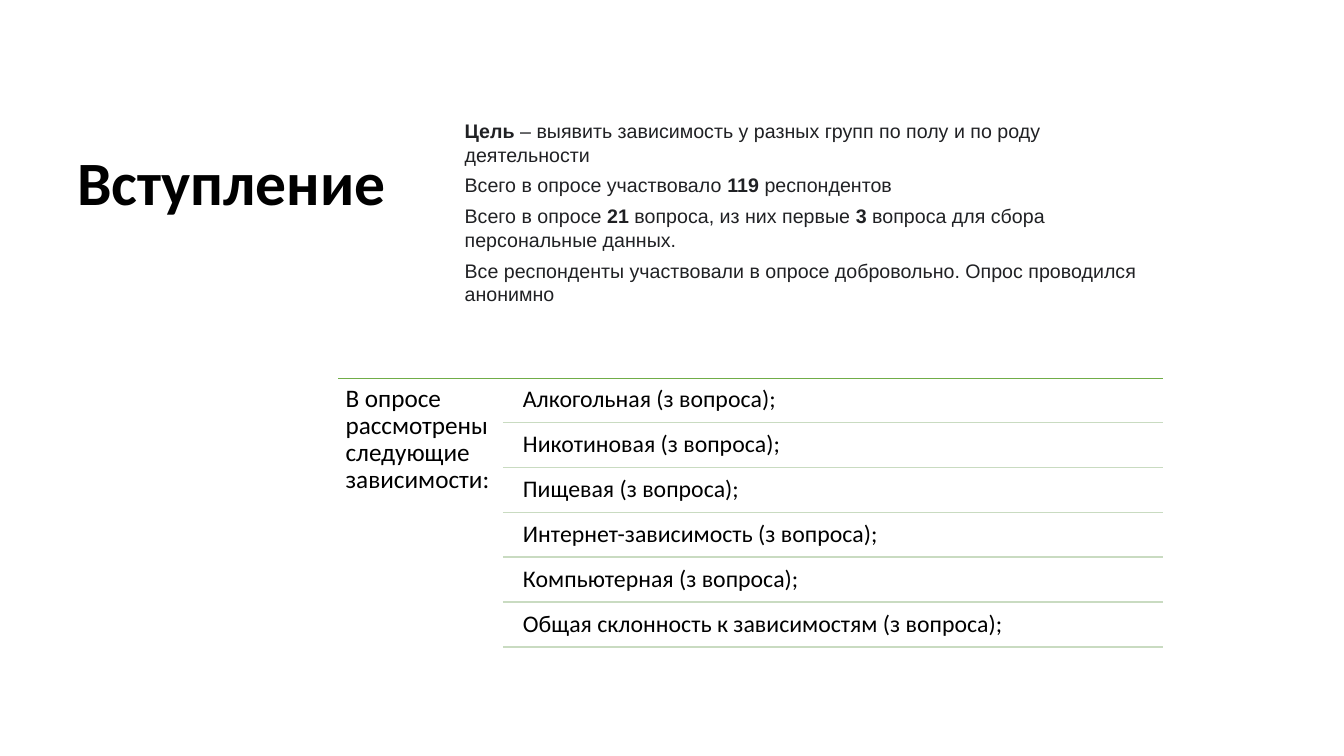
from lxml import etree
from pptx import Presentation
from pptx.dml.color import RGBColor
from pptx.enum.shapes import MSO_CONNECTOR
from pptx.enum.text import MSO_ANCHOR, MSO_AUTO_SIZE, PP_ALIGN
from pptx.oxml.ns import qn
from pptx.util import Cm, Pt

STRAIGHT = MSO_CONNECTOR.STRAIGHT
TOP, MIDDLE = MSO_ANCHOR.TOP, MSO_ANCHOR.MIDDLE
LEFT = PP_ALIGN.LEFT
NO_FIT = MSO_AUTO_SIZE.NONE

BLACK = RGBColor(0x00, 0x00, 0x00)
INK = RGBColor(0x20, 0x21, 0x24)
GREEN = RGBColor(0x70, 0xAD, 0x47)
PALE_GREEN = RGBColor(0xC9, 0xDB, 0xC1)

TITLE_LAYOUT = 5
LIST_LEFT, LIST_RIGHT, LIST_TOP = 8.53, 29.31, 9.53
RULE_LEFT, ITEM_LEFT = 12.67, 13.0
ROW_STEP, ROW_HEIGHT = 1.13, 1.07

# Each paragraph is a list of (text, bold) spans
SURVEY_FACTS = [
    [("Цель", True),
     (" – выявить зависимость у разных групп по полу и по роду деятельности", False)],
    [("Всего в опросе участвовало ", False), ("119", True), (" респондентов", False)],
    [("Всего в опросе ", False), ("21", True), (" вопроса, из них первые ", False),
     ("3", True), (" вопроса для сбора персональные данных.", False)],
    [("Все респонденты участвовали в опросе добровольно. Опрос проводился анонимно", False)],
]
ADDICTIONS = [
    "Алкогольная (з вопроса);",
    "Никотиновая (з вопроса);",
    "Пищевая (з вопроса);",
    "Интернет-зависимость (з вопроса);",
    "Компьютерная (з вопроса);",
    "Общая склонность к зависимостям (з вопроса);",
]


def write_text(frame, paragraphs, *, size, font="Calibri", color=BLACK, anchor=TOP,
               line_spacing=None, space_before=0, insets=(0.25, 0.13)):
    """Fill a text frame with paragraphs made of (text, bold) spans."""
    frame.word_wrap = True
    frame.auto_size = NO_FIT
    frame.vertical_anchor = anchor
    frame.margin_left = frame.margin_right = Cm(insets[0])
    frame.margin_top = frame.margin_bottom = Cm(insets[1])
    for index, spans in enumerate(paragraphs):
        para = frame.add_paragraph() if index else frame.paragraphs[0]
        para.alignment = LEFT
        para.space_before = Pt(space_before)
        if line_spacing:
            para.line_spacing = line_spacing
        for text, bold in spans:
            span = para.add_run()
            span.text = text
            span.font.name = font
            span.font.size = Pt(size)
            span.font.bold = bold
            span.font.color.rgb = color


class SlideBuilder:
    def __init__(self, deck):
        self.page = deck.slides.add_slide(deck.slide_layouts[TITLE_LAYOUT])

    def title(self, text, left, top, width, height):
        box = self.page.shapes.title
        box.left, box.top, box.width, box.height = map(Cm, (left, top, width, height))
        write_text(box.text_frame, [[(text, True)]], size=44, anchor=MIDDLE, line_spacing=0.9)

    def text(self, paragraphs, left, top, width, height, **style):
        box = self.page.shapes.add_textbox(*map(Cm, (left, top, width, height)))
        write_text(box.text_frame, paragraphs, **style)

    def list_text(self, text, left, top, width, height, size):
        self.text([[(text, False)]], left, top, width, height,
                  size=size, line_spacing=0.9, insets=(0.18, 0.18))

    def rule(self, left, right, top, color, weight):
        line = self.page.shapes.add_connector(
            STRAIGHT, Cm(left), Cm(top), Cm(right), Cm(top))
        line.line.color.rgb = color
        line.line.width = Pt(weight)
        etree.SubElement(line._element.spPr, qn("a:effectLst"))


def main():
    deck = Presentation()
    deck.slide_width, deck.slide_height = Cm(33.87), Cm(19.05)
    slide = SlideBuilder(deck)

    # Title and survey facts
    slide.title("Вступление", 1.7, 1.27, 9.14, 6.81)
    slide.text(SURVEY_FACTS, 11.46, 2.87, 17.86, 5.41,
               size=14, font="Arial", color=INK, space_before=5.2)

    # List heading
    slide.rule(LIST_LEFT, LIST_RIGHT, LIST_TOP, GREEN, 0.5)
    slide.list_text("В опросе рассмотрены следующие зависимости:",
                    LIST_LEFT, LIST_TOP, 4.17, 6.81, 18)

    # Addictions, each closed by a rule
    for index, addiction in enumerate(ADDICTIONS):
        top = LIST_TOP + 0.05 + index * ROW_STEP
        slide.list_text(addiction, ITEM_LEFT, top, LIST_RIGHT - ITEM_LEFT, ROW_HEIGHT, 17)
        slide.rule(RULE_LEFT, LIST_RIGHT, top + ROW_HEIGHT, PALE_GREEN, 1)

    deck.save("out.pptx")


if __name__ == "__main__":
    main()
